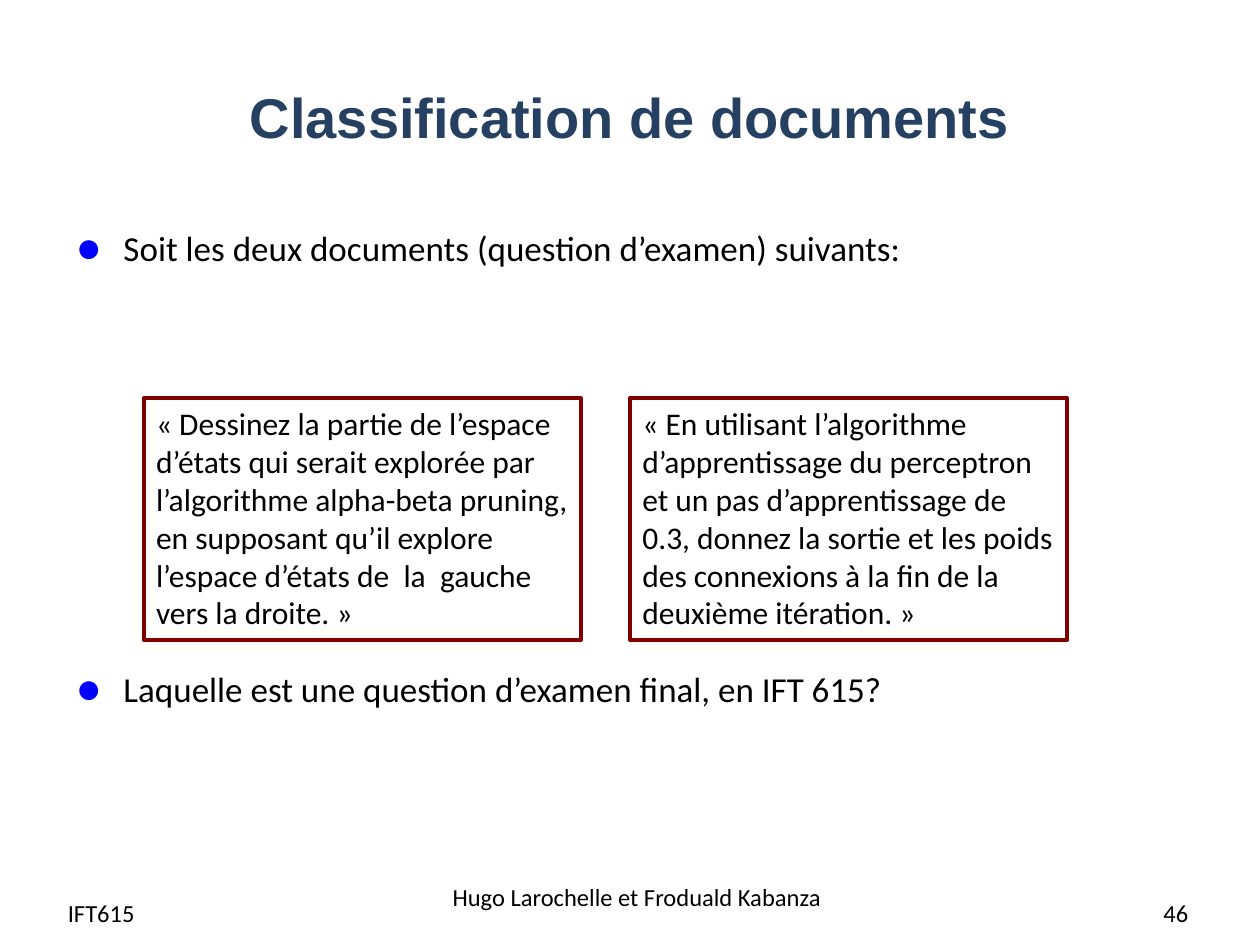
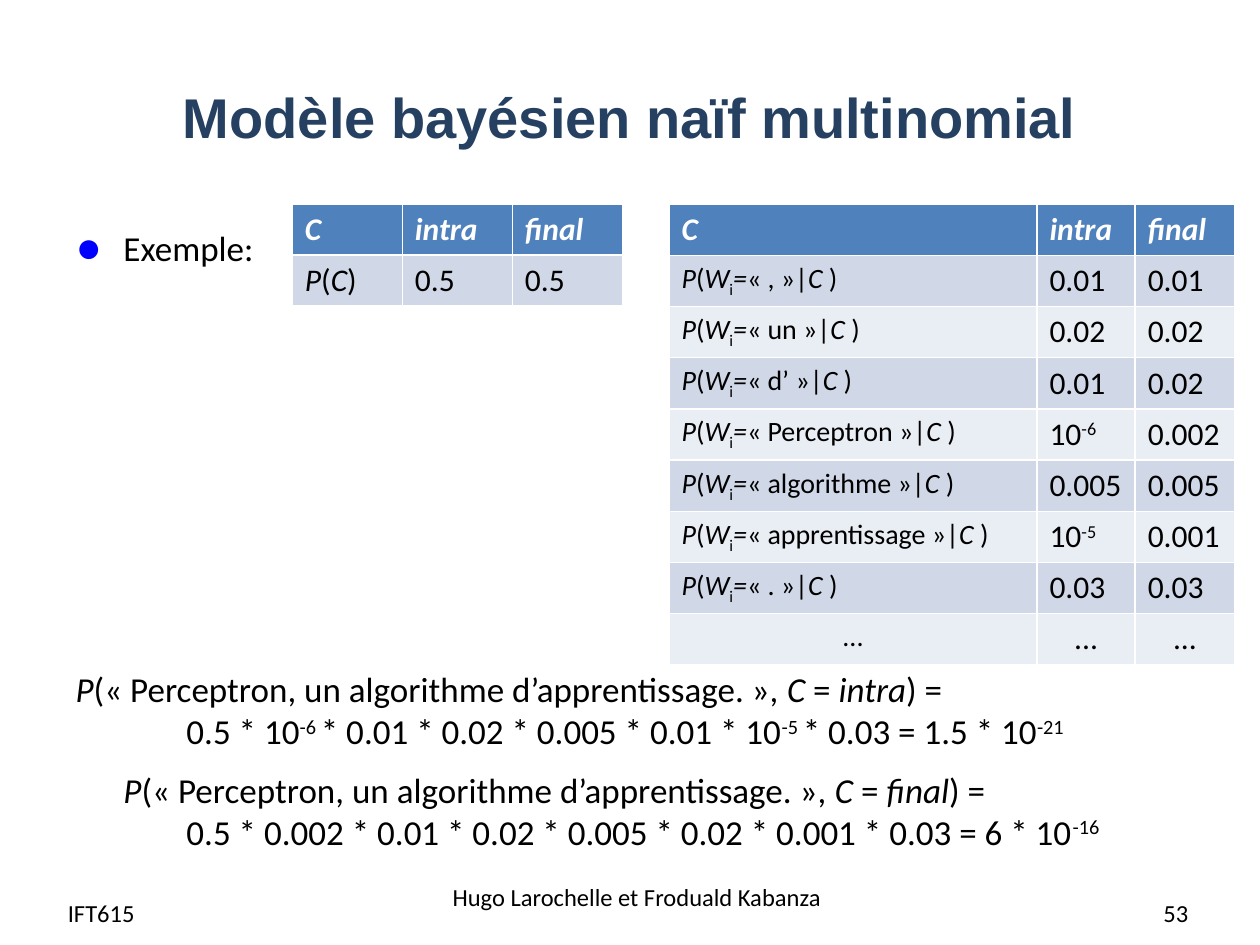
import lxml.etree
import pptx
import pptx.dml.color
import pptx.enum.shapes
import pptx.enum.text
import pptx.oxml.ns
import pptx.util

Inches = pptx.util.Inches
Pt = pptx.util.Pt
ALIGN = pptx.enum.text.PP_ALIGN
ANCHOR = pptx.enum.text.MSO_ANCHOR

HUES = {
    "title": "254061",
    "text": "000000",
    "bullet": "0000FF",
    "frame": "800000",
    "head": "4F81BD",
    "odd": "D0D8E8",
    "even": "E9EDF4",
    "white": "FFFFFF",
}
RAISE = {"^": 30000, "~": -25000}
FOOT = "Hugo Larochelle et Froduald Kabanza"
GAP = 228


def hue(name):
    return pptx.dml.color.RGBColor.from_string(HUES[name])


def place(shape, box):
    shape.left, shape.top, shape.width, shape.height = map(Inches, box)


def split(text):
    """Marks: _ toggles italic, ^ toggles superscript, ~ toggles subscript."""
    part, slant, shift = "", False, 0
    for char in text:
        if char != "_" and char not in RAISE:
            part += char
            continue
        if part:
            yield part, slant, shift
        part = ""
        if char == "_":
            slant = not slant
        else:
            shift = 0 if shift else RAISE[char]
    if part:
        yield part, slant, shift


def write(para, text, size, tone="text", bold=False, face="Calibri", align=ALIGN.LEFT):
    para.alignment = align
    for part, slant, shift in split(text):
        run = para.add_run()
        run.text = part
        font = run.font
        font.name, font.size = face, Pt(size)
        font.bold, font.italic = bold, slant
        font.color.rgb = hue(tone)
        if shift:
            run._r.get_or_add_rPr().set("baseline", str(shift))


def add_tag(props, tag, **attrs):
    return lxml.etree.SubElement(props, pptx.oxml.ns.qn(tag), attrs)


def indent(para, left, bullet):
    props = para._p.get_or_add_pPr()
    props.set("marL", str(Inches(left)))
    props.set("indent", str(Inches(-left if bullet else 0)))
    if bullet:
        add_tag(add_tag(props, "a:buClr"), "a:srgbClr", val=HUES["bullet"])
        add_tag(props, "a:buSzPct", val="125000")
        add_tag(props, "a:buFont", typeface="Arial")
        add_tag(props, "a:buChar", char="●")
    else:
        add_tag(props, "a:buNone")


def add_body(shape, items):
    place(shape, (0.5, 1.75, 9, 4.95))
    frame = shape.text_frame
    frame.auto_size = pptx.enum.text.MSO_AUTO_SIZE.NONE
    for num, (text, left, before, bullet) in enumerate(items):
        para = frame.add_paragraph() if num else frame.paragraphs[0]
        para.space_before = Pt(before)
        indent(para, left, bullet)
        write(para, text, 20)


def add_foot(slide, page):
    parts = (
        ("IFT615", (0.44, 7.04, 1.93, 0.4), ALIGN.LEFT),
        (FOOT, (3.47, 6.92, 3.17, 0.4), ALIGN.CENTER),
        (page, (7.2, 7.04, 2.33, 0.4), ALIGN.RIGHT),
    )
    for text, box, align in parts:
        frame = slide.shapes.add_textbox(*map(Inches, box)).text_frame
        frame.word_wrap = True
        frame.vertical_anchor = ANCHOR.MIDDLE
        write(frame.paragraphs[0], text, 14, align=align)


def add_slide(deck, title, items, page):
    slide = deck.slides.add_slide(deck.slide_layouts[1])
    head = slide.shapes.title
    place(head, (0.5, 0.3, 9, 1.25))
    head.text_frame.vertical_anchor = ANCHOR.MIDDLE
    write(head.text_frame.paragraphs[0], title, 32, "title", True, "Arial", ALIGN.CENTER)
    add_body(slide.placeholders[1], items)
    add_foot(slide, page)
    return slide


def add_quote(slide, box, text):
    rect = slide.shapes.add_shape(
        pptx.enum.shapes.MSO_SHAPE.RECTANGLE, *map(Inches, box))
    rect.shadow.inherit = False
    rect.fill.background()
    rect.line.color.rgb = hue("frame")
    rect.line.width = Pt(2.25)
    frame = rect.text_frame
    frame.word_wrap = True
    frame.vertical_anchor = ANCHOR.TOP
    write(frame.paragraphs[0], text, 18)


def add_grid(slide, box, widths, rows, label=18):
    grid = slide.shapes.add_table(len(rows), len(widths), *map(Inches, box)).table
    for col, width in zip(grid.columns, widths):
        col.width = Inches(width)
    for y, row in enumerate(rows):
        fill = "head" if y == 0 else "odd" if y % 2 else "even"
        for x, text in enumerate(row):
            cell = grid.cell(y, x)
            cell.fill.solid()
            cell.fill.fore_color.rgb = hue(fill)
            write(
                cell.text_frame.paragraphs[0], text,
                label if y and x == 0 else 18,
                "text" if y else "white", y == 0,
                align=ALIGN.CENTER if text == "..." else ALIGN.LEFT)


def add_exam(deck):
    slide = add_slide(deck, "Classification de documents", (
        ("Soit les deux documents (question d’examen) suivants:", 0.38, 4, True),
        ("Laquelle est une question d’examen final, en IFT 615?", 0.38, GAP, True),
    ), "46")
    quotes = (
        "« Dessinez la partie de l’espace d’états qui serait explorée par "
        "l’algorithme alpha-beta pruning, en supposant qu’il explore "
        "l’espace d’états de  la  gauche vers la droite. »",
        "« En utilisant l’algorithme d’apprentissage du perceptron et un pas "
        "d’apprentissage de 0.3, donnez la sortie et les poids des connexions "
        "à la fin de la deuxième itération. »",
    )
    for num, quote in enumerate(quotes):
        add_quote(slide, (1.14 + 3.86 * num, 3.16, 3.47, 1.92), quote)


def add_bayes(deck):
    query = "_P_(« Perceptron, un algorithme d’apprentissage. », _C_ = _{}_) ="
    slide = add_slide(deck, "Modèle bayésien naïf multinomial", (
        ("Exemple:", 0.38, 4, True),
        (query.format("intra"), 0, GAP, False),
        ("0.5 * 10^-6 ^* 0.01 * 0.02 * 0.005 * 0.01 * 10^-5 ^* 0.03 = 1.5 * 10^-21^",
         0.88, 0, False),
        (query.format("final"), 0.38, 9.5, False),
        ("0.5 * 0.002 * 0.01 * 0.02 * 0.005 * 0.02 * 0.001 * 0.03 = 6 * 10^-16^",
         0.88, 0, False),
    ), "53")
    head = ("_C_", "_intra_", "_final_")
    add_grid(slide, (2.32, 1.62, 2.62, 0.81), (2.62 / 3,) * 3,
             (head, ("_P_(_C_)", "0.5", "0.5")))
    words = (
        (",", "0.01", "0.01"),
        ("un", "0.02", "0.02"),
        ("d’", "0.01", "0.02"),
        ("Perceptron", "10^-6^", "0.002"),
        ("algorithme", "0.005", "0.005"),
        ("apprentissage", "10^-5^", "0.001"),
        (".", "0.03", "0.03"),
    )
    rows = [(f"_P_(_W_~i~_=_« {word} »|_C _)", *odds) for word, *odds in words]
    add_grid(slide, (5.31, 1.62, 4.49, 3.66), (2.92, 0.78, 0.79),
             [head, *rows, ("...",) * 3], 16)


def main():
    deck = pptx.Presentation()
    deck.slide_width, deck.slide_height = Inches(10), Inches(7.5)
    add_exam(deck)
    add_bayes(deck)
    deck.save("out.pptx")


if __name__ == "__main__":
    main()
